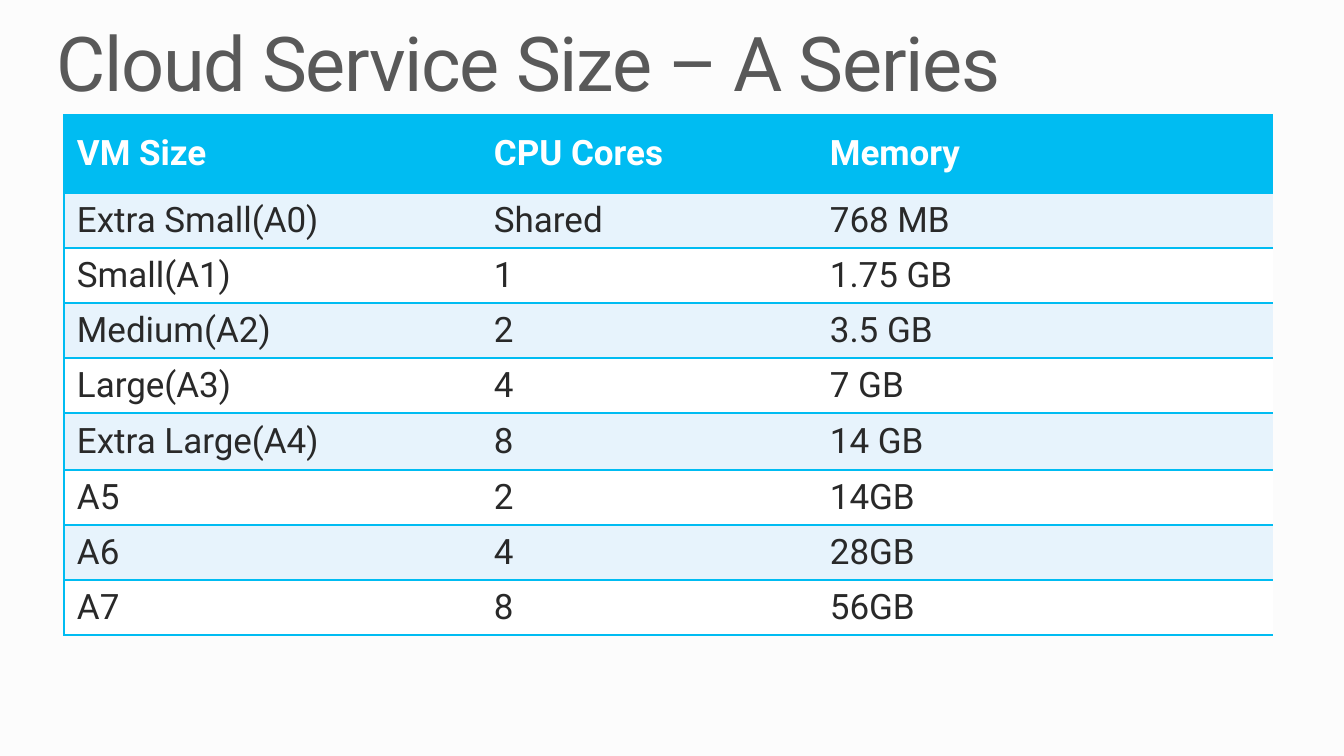
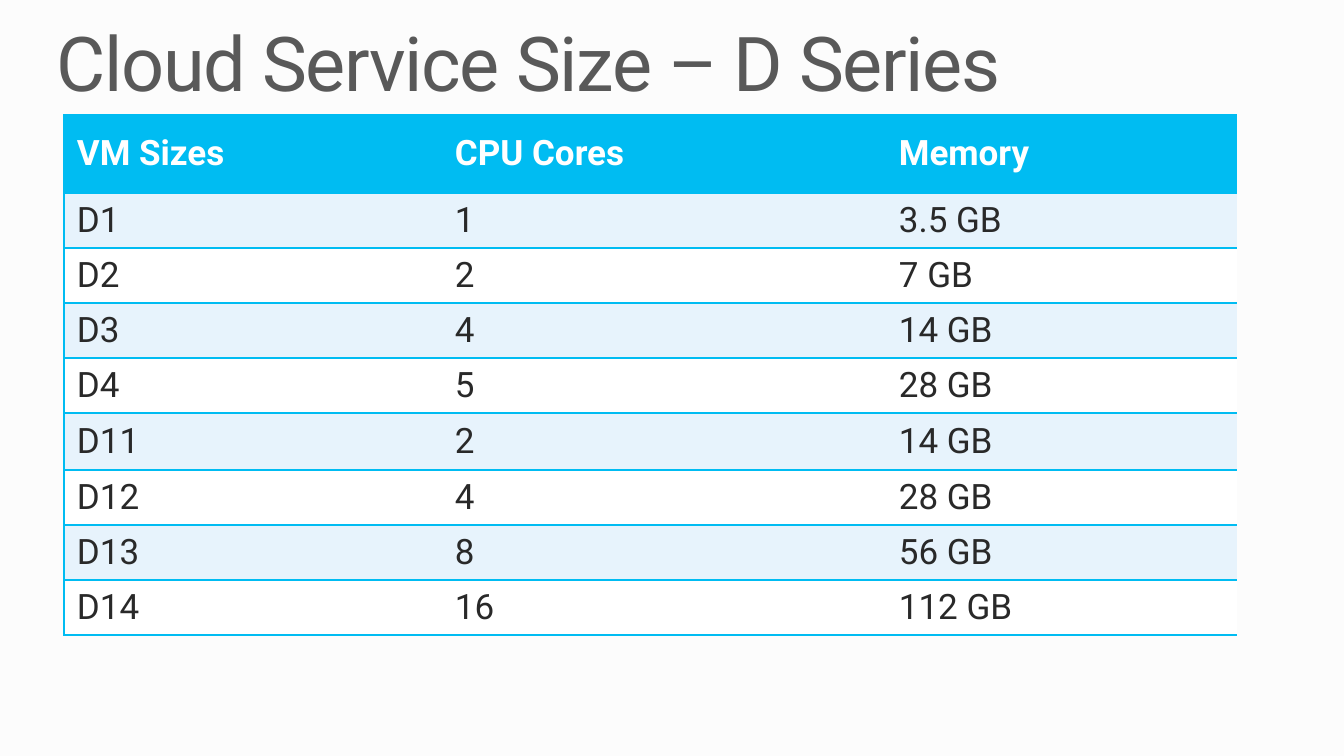
from lxml.etree import SubElement
from pptx import Presentation
from pptx.dml.color import RGBColor
from pptx.enum.text import MSO_ANCHOR, MSO_AUTO_SIZE, PP_ALIGN
from pptx.oxml.ns import qn
from pptx.util import Pt

# Content
SERIES = [
    {
        "title": "Cloud Service Size – A Series",
        "columns": (417, 336, 456),
        "rows": [
            ("VM Size", "CPU Cores", "Memory"),
            ("Extra Small(A0)", "Shared", "768 MB"),
            ("Small(A1)", "1", "1.75 GB"),
            ("Medium(A2)", "2", "3.5 GB"),
            ("Large(A3)", "4", "7 GB"),
            ("Extra Large(A4)", "8", "14 GB"),
            ("A5", "2", "14GB"),
            ("A6", "4", "28GB"),
            ("A7", "8", "56GB"),
        ],
    },
    {
        "title": "Cloud Service Size – D Series",
        "columns": (378, 444, 351),
        "rows": [
            ("VM Sizes", "CPU Cores", "Memory"),
            ("D1", "1", "3.5 GB"),
            ("D2", "2", "7 GB"),
            ("D3", "4", "14 GB"),
            ("D4", "5", "28 GB"),
            ("D11", "2", "14 GB"),
            ("D12", "4", "28 GB"),
            ("D13", "8", "56 GB"),
            ("D14", "16", "112 GB"),
        ],
    },
]

# Shared style
COLORS = {
    "background": "FCFCFC",
    "title": "595959",
    "accent": "00BCF2",
    "header_text": "FFFFFF",
    "body_text": "292929",
    "odd_row": "E7F3FC",
    "even_row": "FFFFFF",
}
FONT = "Roboto"
NO_STYLE = "{2D5ABB26-0587-4C30-8999-92F81FD0307C}"
TITLE_BOX = (57, 25, 1229, 83)
TABLE_LEFT, TABLE_TOP = 64, 115
ROW_HEIGHTS = (78, 54, 54, 54, 54, 57, 54, 54, 54)
MARGIN_X, MARGIN_Y = 13, 7


def px(pixels):
    return round(pixels * 914400 / 100.8)


def rgb(name):
    return RGBColor.from_string(COLORS[name])


def set_font(paragraph, size, color, bold=False):
    font = paragraph.font
    font.name, font.size, font.bold = FONT, Pt(size), bold
    font.color.rgb = rgb(color)


def add_title(slide, text):
    title = slide.shapes.title
    title.left, title.top, title.width, title.height = map(px, TITLE_BOX)
    frame = title.text_frame
    frame.text = text
    frame.margin_left = frame.margin_right = 0
    frame.margin_top = frame.margin_bottom = 0
    frame.word_wrap = True
    frame.auto_size = MSO_AUTO_SIZE.NONE
    frame.vertical_anchor = MSO_ANCHOR.BOTTOM
    heading = frame.paragraphs[0]
    heading.alignment = PP_ALIGN.LEFT
    heading.line_spacing = 0.9
    set_font(heading, 54, "title")
    heading.runs[0].font._element.set("spc", "-100")


def add_borders(cell, sides):
    properties = cell._tc.get_or_add_tcPr()
    for side in sides:
        line = SubElement(properties, qn(f"a:ln{side}"), w=str(Pt(1)))
        fill = SubElement(line, qn("a:solidFill"))
        SubElement(fill, qn("a:srgbClr"), val=COLORS["accent"])


def format_cell(cell, row, column):
    header = row == 0
    add_borders(cell, "LTB" if column == 0 else "TB")
    cell.fill.solid()
    cell.fill.fore_color.rgb = rgb(
        "accent" if header else "odd_row" if row % 2 else "even_row")
    cell.margin_left = cell.margin_right = px(MARGIN_X)
    cell.margin_top = cell.margin_bottom = px(MARGIN_Y)
    cell.vertical_anchor = MSO_ANCHOR.MIDDLE
    set_font(cell.text_frame.paragraphs[0], 25,
             "header_text" if header else "body_text", header)


def add_size_table(slide, columns, rows):
    table = slide.shapes.add_table(
        len(rows), len(columns), px(TABLE_LEFT), px(TABLE_TOP),
        px(sum(columns)), px(sum(ROW_HEIGHTS))).table
    table._tbl.tblPr.find(qn("a:tableStyleId")).text = NO_STYLE
    for column, width in zip(table.columns, columns):
        column.width = px(width)
    for row, height in zip(table.rows, ROW_HEIGHTS):
        row.height = px(height)
    for r, values in enumerate(rows):
        for c, value in enumerate(values):
            cell = table.cell(r, c)
            cell.text = value
            format_cell(cell, r, c)


# Slides
deck = Presentation()
deck.slide_width, deck.slide_height = px(1344), px(756)
backdrop = deck.slide_master.background.fill
backdrop.solid()
backdrop.fore_color.rgb = rgb("background")
title_only = deck.slide_layouts[5]

for series in SERIES:
    slide = deck.slides.add_slide(title_only)
    add_title(slide, series["title"])
    add_size_table(slide, series["columns"], series["rows"])

deck.save("out.pptx")
